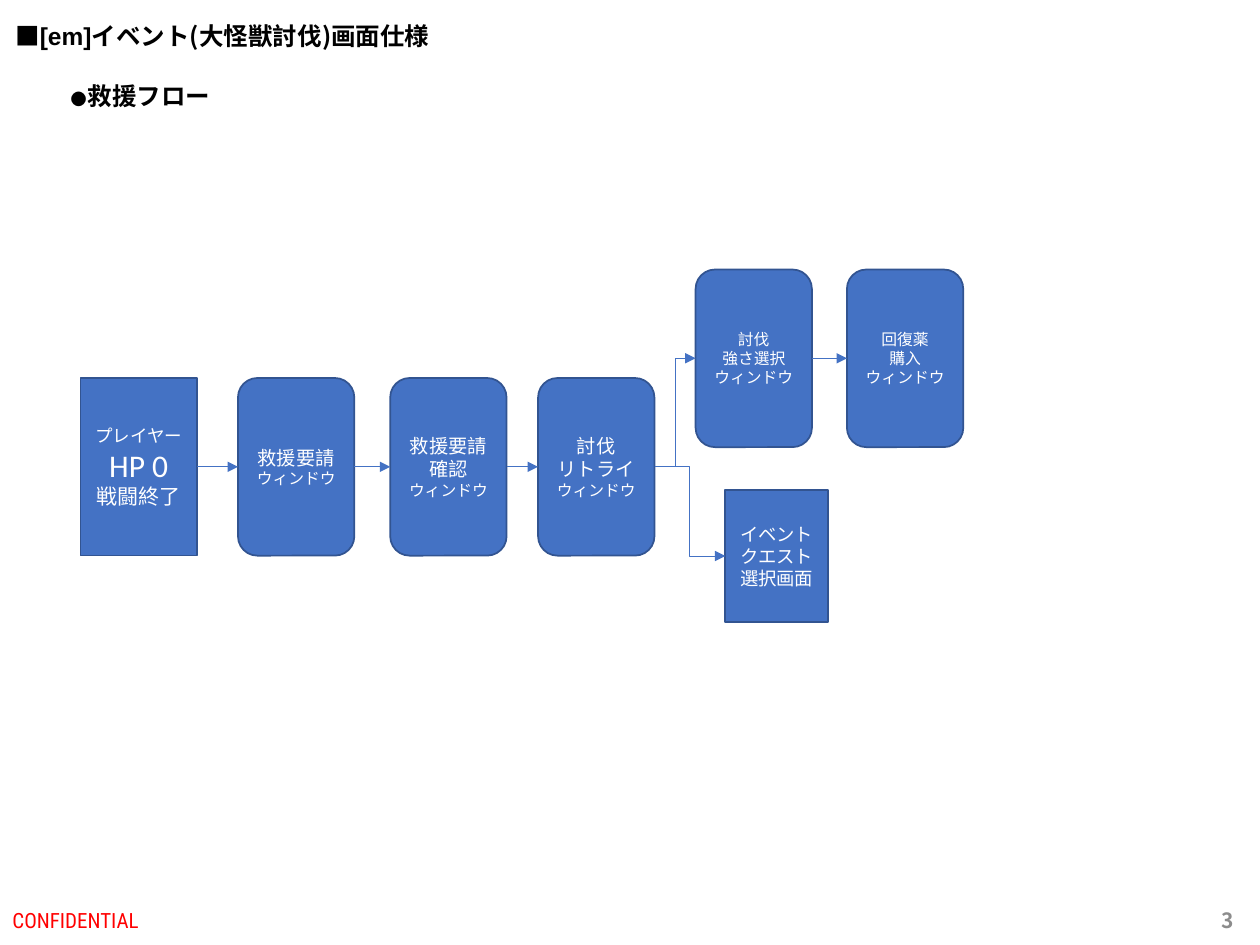
from lxml import etree
from pptx import Presentation
from pptx import util as u
from pptx.dml.color import RGBColor
from pptx.enum import shapes, text
from pptx.oxml.ns import qn

LEFT_SIDE, RIGHT_SIDE = 1, 3  # connection sites of a rectangle
BOX_WIDTH, BOX_HEIGHT = 66.5, 101.5
MAIN_ROW, UPPER_ROW = 216, 154
JAPANESE = "Noto Sans CJK JP"


def color(value):
    return RGBColor.from_string(value)


class FlowSlide:
    font = "Calibri"
    fill = "4472C4"
    outline = "325491"

    def __init__(self, slide):
        self.slide = slide

    def format_run(self, run, size, name, hex_color, bold=False):
        font = run.font
        font.size, font.name, font.bold = u.Pt(size), name, bold
        font.color.rgb = color(hex_color)
        east_asian = etree.Element(qn("a:ea"), typeface=name)
        font._element.find(qn("a:latin")).addnext(east_asian)

    def title(self, parts, left, top, width, height, size):
        """Fill the title placeholder from (text, font) parts."""
        shape = self.slide.shapes.title
        shape.left, shape.top = u.Pt(left), u.Pt(top)
        shape.width, shape.height = u.Pt(width), u.Pt(height)
        frame = shape.text_frame
        frame.word_wrap = True
        frame.auto_size = text.MSO_AUTO_SIZE.NONE
        frame.vertical_anchor = text.MSO_ANCHOR.TOP
        paragraph = frame.paragraphs[0]
        paragraph.alignment = text.PP_ALIGN.LEFT
        for content, name in parts:
            run = paragraph.add_run()
            run.text = content
            self.format_run(run, size, name, "000000", True)

    def label(self, content, left, top, width, height, size, name, hex_color,
              bold=False, align=text.PP_ALIGN.LEFT, anchor=text.MSO_ANCHOR.MIDDLE):
        shape = self.slide.shapes.add_textbox(
            u.Pt(left), u.Pt(top), u.Pt(width), u.Pt(height))
        frame = shape.text_frame
        frame.word_wrap = True
        frame.vertical_anchor = anchor
        frame.text = content
        paragraph = frame.paragraphs[0]
        paragraph.alignment = align
        self.format_run(paragraph.runs[0], size, name, hex_color, bold)

    def box(self, lines, left, top, width=BOX_WIDTH, height=BOX_HEIGHT, rounded=True):
        """Add a flow step from (text, size) lines."""
        kind = shapes.MSO_SHAPE.ROUNDED_RECTANGLE if rounded else shapes.MSO_SHAPE.RECTANGLE
        shape = self.slide.shapes.add_shape(
            kind, u.Pt(left), u.Pt(top), u.Pt(width), u.Pt(height))
        shape.shadow.inherit = False
        shape.fill.solid()
        shape.fill.fore_color.rgb = color(self.fill)
        shape.line.color.rgb = color(self.outline)
        shape.line.width = u.Pt(1)
        frame = shape.text_frame
        frame.word_wrap = True
        frame.vertical_anchor = text.MSO_ANCHOR.MIDDLE
        frame.text = "\n".join(content for content, _ in lines)
        for paragraph, (_, size) in zip(frame.paragraphs, lines):
            paragraph.alignment = text.PP_ALIGN.CENTER
            self.format_run(paragraph.runs[0], size, self.font, "FFFFFF")
        return shape

    def arrow(self, source, target, kind=shapes.MSO_CONNECTOR.STRAIGHT):
        connector = self.slide.shapes.add_connector(kind, 0, 0, 0, 0)
        connector.begin_connect(source, RIGHT_SIDE)
        connector.end_connect(target, LEFT_SIDE)
        connector.line.color.rgb = color(self.fill)
        connector.line.width = u.Pt(0.5)
        line = connector.line._get_or_add_ln()
        etree.SubElement(line, qn("a:tailEnd"), type="triangle")
        etree.SubElement(connector._element.spPr, qn("a:effectLst"))


def main():
    presentation = Presentation()
    presentation.slide_width, presentation.slide_height = u.Pt(720), u.Pt(540)
    page = FlowSlide(presentation.slides.add_slide(presentation.slide_layouts[5]))

    page.title([("■", JAPANESE), ("[em]", "Arial"),
                ("イベント(大怪獣討伐)画面仕様", JAPANESE)], 1.5, 8.5, 263.5, 24.5, 14)
    page.label("●救援フロー", 32.5, 42.5, 114, 24.5, 14, "TeX Gyre Adventor",
               "000000", True, anchor=text.MSO_ANCHOR.TOP)
    page.label("CONFIDENTIAL", 0, 511, 243, 29, 12, "Roboto Condensed", "FF0000")
    page.label("3", 550, 511, 162, 29, 12, JAPANESE, "8C8C8C", True,
               text.PP_ALIGN.RIGHT)

    window = ("ウィンドウ", 9)
    defeat = page.box([("プレイヤー", 10), ("HP 0", 18), ("戦闘終了", 12)],
                      46, MAIN_ROW, rounded=False)
    request = page.box([("救援要請", 11), window], 136, MAIN_ROW)
    confirm = page.box([("救援要請", 11), ("確認", 11), window], 223, MAIN_ROW)
    retry = page.box([("討伐", 11), ("リトライ", 11), window], 307.5, MAIN_ROW)
    strength = page.box([("討伐", 9), ("強さ選択", 9), window], 397.5, UPPER_ROW)
    potion = page.box([("回復薬", 9), ("購入", 9), window], 484, UPPER_ROW)
    quest = page.box([("イベント", 10.5), ("クエスト", 10.5), ("選択画面", 10.5)],
                     414.5, 280, 58.5, 75.5, rounded=False)

    for source, target in [(defeat, request), (request, confirm),
                           (confirm, retry), (strength, potion)]:
        page.arrow(source, target)
    for target in (strength, quest):
        page.arrow(retry, target, shapes.MSO_CONNECTOR.ELBOW)

    presentation.save("out.pptx")


if __name__ == "__main__":
    main()
